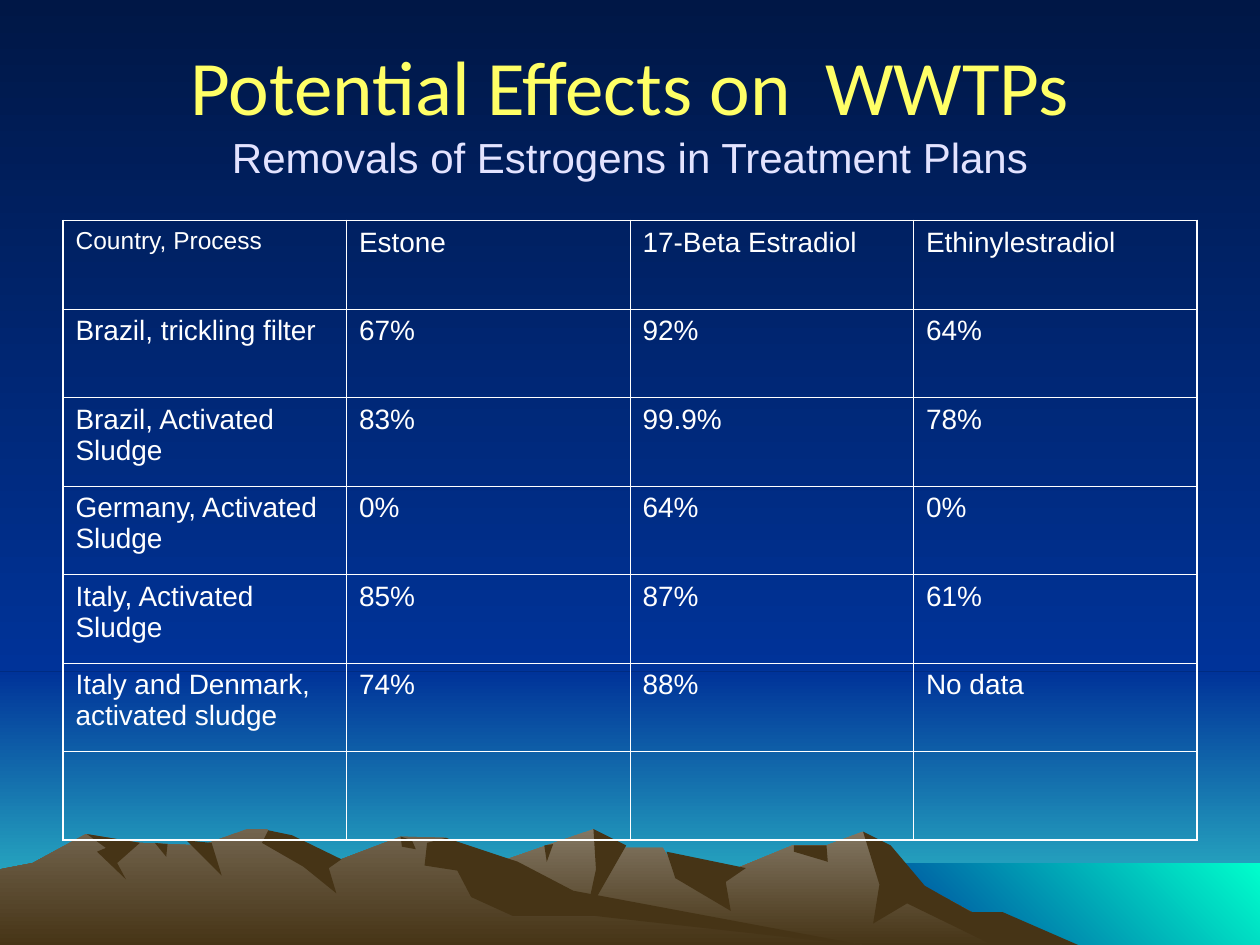
from lxml import etree
from pptx import Presentation
from pptx.dml.color import RGBColor
from pptx.enum.shapes import MSO_SHAPE
from pptx.enum.text import MSO_ANCHOR, MSO_AUTO_SIZE, PP_ALIGN
from pptx.oxml.ns import qn
from pptx.util import Inches, Pt

WHITE, ROCK_SHADE = "FFFFFF", "463416"
NIGHT, BLUE = "001746", "003399"


def paint(fill, *colors, angle=90):
    """Fill with one colour, or with a gradient running clockwise from the right by angle."""
    if len(colors) == 1:
        fill.solid()
        fill.fore_color.rgb = RGBColor.from_string(colors[0])
        return
    fill.gradient()
    fill.gradient_angle = 360 - angle
    for stop, color in zip(fill.gradient_stops, colors):
        stop.color.rgb = RGBColor.from_string(color)


def style_font(font, size, name, color):
    font.size, font.name = Pt(size), name
    font.color.rgb = RGBColor.from_string(color)


presentation = Presentation()
presentation.slide_width, presentation.slide_height = Inches(10), Inches(7.5)
slide = presentation.slides.add_slide(presentation.slide_layouts[5])
paint(slide.background.fill, NIGHT, BLUE)

# Sky and sea: left, top, width, height, gradient, angle
bands = [
    (0, 5.33, 10, 2.17, (BLUE, "33CCCC"), 90),
    (0, 0, 10, 5.33, (NIGHT, BLUE), 90),
    (6.83, 6.85, 3.17, 0.67, ("00FFCC", BLUE), 135),
]
for left, top, width, height, colors, angle in bands:
    shape = slide.shapes.add_shape(
        MSO_SHAPE.RECTANGLE, Inches(left), Inches(top), Inches(width), Inches(height))
    paint(shape.fill, *colors, angle=angle)
    shape.line.fill.background()
    shape.shadow.inherit = False

# Mountains, back to front: colours and outline in hundredths of an inch
mountains = [
    # right range and its shaded faces
    (("837763", ROCK_SHADE), [
        (821, 751), (723, 698), (685, 660), (656, 671), (629, 671), (566, 697), (536, 690),
        (526, 673), (486, 673), (471, 658), (394, 685), (327, 709), (258, 751)]),
    ((ROCK_SHADE,), [
        (858, 751), (796, 724), (771, 724), (734, 703), (707, 671), (685, 660), (698, 702),
        (693, 733), (720, 717), (792, 752)]),
    ((ROCK_SHADE,), [(471, 658), (497, 671), (465, 727), (473, 690)]),
    ((ROCK_SHADE,), [(529, 676), (592, 689), (576, 700), (580, 723), (536, 697)]),
    ((ROCK_SHADE,), [(630, 671), (656, 671), (657, 684), (630, 676)]),
    ((ROCK_SHADE,), [(432, 671), (439, 670), (434, 684)]),
    # left range and its shaded faces
    (("72644E", ROCK_SHADE), [
        (690, 751), (432, 712), (354, 665), (318, 664), (271, 682), (236, 681), (212, 658),
        (196, 658), (160, 671), (111, 669), (68, 662), (26, 685), (0, 690), (0, 751)]),
    ((ROCK_SHADE,), [
        (213, 659), (232, 663), (271, 682), (261, 689), (267, 709), (241, 688), (208, 669)]),
    ((ROCK_SHADE,), [
        (690, 751), (455, 707), (411, 684), (354, 665), (339, 669), (337, 687), (363, 691),
        (374, 712), (407, 727), (472, 727)]),
    ((ROCK_SHADE,), [(318, 664), (327, 667), (330, 674), (319, 672)]),
    ((ROCK_SHADE,), [(148, 667), (168, 669), (176, 695)]),
    ((ROCK_SHADE,), [(123, 669), (133, 670), (132, 680)]),
    ((ROCK_SHADE,), [
        (69, 662), (111, 669), (93, 685), (100, 698), (77, 676), (84, 673)]),
]
for colors, outline in mountains:
    builder = slide.shapes.build_freeform(*outline[0], scale=Inches(0.01))
    builder.add_line_segments(outline[1:], close=True)
    shape = builder.convert_to_shape()
    paint(shape.fill, *colors)
    shape.line.fill.background()
    shape.shadow.inherit = False

# Title, brought in front of the scenery
title = slide.shapes.title
title.element.getparent().append(title.element)
title.left, title.top, title.width, title.height = Inches(0.5), Inches(0.25), Inches(9), Inches(1.25)
title.text_frame.text = "Potential Effects on  WWTPs\vRemovals of Estrogens in Treatment Plans"
title.text_frame.auto_size = MSO_AUTO_SIZE.NONE
title.text_frame.vertical_anchor = MSO_ANCHOR.MIDDLE
paragraph = title.text_frame.paragraphs[0]
paragraph.alignment = PP_ALIGN.CENTER
heading, subheading = paragraph.runs
style_font(heading.font, 44, "Calibri", "FFFF66")
style_font(subheading.font, 24, "Arial", "E3E3FF")

# Removal table
rows = [
    ("Country, Process", "Estone", "17-Beta Estradiol", "Ethinylestradiol"),
    ("Brazil, trickling filter", "67%", "92%", "64%"),
    ("Brazil, Activated Sludge", "83%", "99.9%", "78%"),
    ("Germany, Activated Sludge", "0%", "64%", "0%"),
    ("Italy, Activated Sludge", "85%", "87%", "61%"),
    ("Italy and Denmark, activated sludge", "74%", "88%", "No data"),
    ("", "", "", ""),
]
last_row, last_column = len(rows) - 1, len(rows[0]) - 1
table = slide.shapes.add_table(
    len(rows), len(rows[0]), Inches(0.5), Inches(1.75), Inches(9), Inches(4.92)).table
table.first_row = table.horz_banding = False

for row_index, row in enumerate(rows):
    for column_index, text in enumerate(row):
        cell = table.cell(row_index, column_index)
        cell.text = text
        size = 14 if row_index == column_index == 0 else 16
        paragraph = cell.text_frame.paragraphs[0]
        paragraph.space_before = Pt(size / 4)
        for run in paragraph.runs:
            style_font(run.font, size, "Arial", WHITE)

        # Thick outer frame, thin inner lines
        outer_sides = {
            "a:lnL": column_index == 0, "a:lnR": column_index == last_column,
            "a:lnT": row_index == 0, "a:lnB": row_index == last_row,
        }
        properties = cell._tc.get_or_add_tcPr()
        for side, is_outer in outer_sides.items():
            line = etree.SubElement(properties, qn(side), w=str(Pt(1.08 if is_outer else 0.45)))
            solid = etree.SubElement(line, qn("a:solidFill"))
            etree.SubElement(solid, qn("a:srgbClr"), val=WHITE)
        cell.fill.background()

presentation.save("out.pptx")
